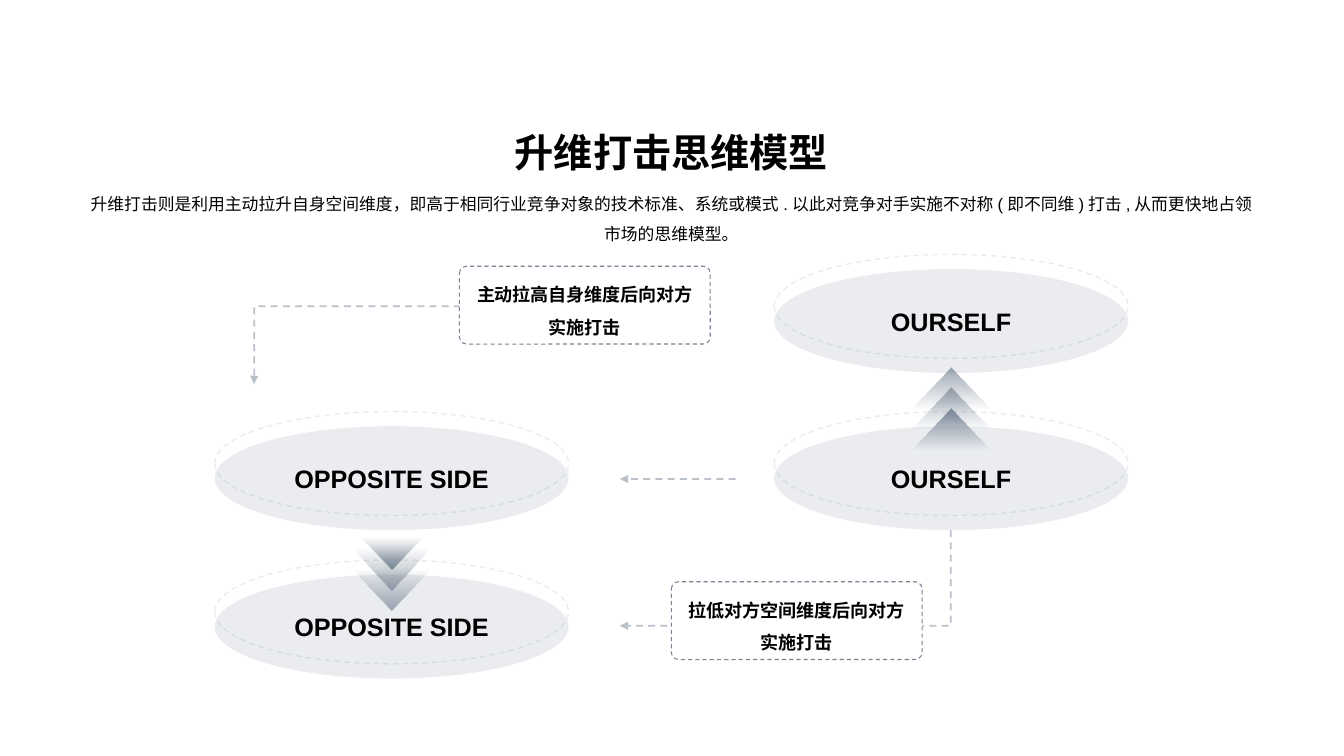
"""Build the slide on the dimension-raising strike model."""
from pptx import Presentation
from pptx.dml.color import RGBColor as Rgb
from pptx.enum.dml import MSO_LINE as Dash
from pptx.enum.shapes import MSO_CONNECTOR as Link, MSO_SHAPE as Form
from pptx.enum.text import MSO_ANCHOR as Anchor, PP_ALIGN as Align
from pptx.oxml.ns import qn
from pptx.util import Cm, Pt
from lxml.etree import SubElement as Sub

TITLE = "升维打击思维模型"
INTRO = ("升维打击则是利用主动拉升自身空间维度，即高于相同行业竞争对象的技术标准、"
         "系统或模式.以此对竞争对手实施不对称(即不同维)打击,从而更快地占领市场的思维模型。")
SIDES = [
    {"name": "OURSELF", "left": 19.51, "tops": (6.78, 10.74),
     "tip": 10.29, "way": -1, "start": 0},
    {"name": "OPPOSITE SIDE", "left": 5.41, "tops": (10.74, 14.48),
     "tip": 13.31, "way": 1, "start": 0.22},
]
LINKS = [
    (Link.STRAIGHT, (18.54, 12.07), (15.62, 12.07), None),
    (Link.ELBOW, (23.96, 13.36), (15.62, 15.77), 0),
    (Link.ELBOW, (15.93, 7.72), (6.4, 9.68), 99900),
]
NOTES = [
    ("主动拉高自身维度后向对方实施打击", 11.58, 6.71),
    ("拉低对方空间维度后向对方实施打击", 16.92, 14.66),
]
THEME = {
    "slate": Rgb(0x77, 0x84, 0x95),
    "white": Rgb(255, 255, 255),
    "title": {"name": "Arial", "size": Pt(28), "bold": True},
    "intro": {"name": "Arial", "size": Pt(12), "bold": False},
    "side": {"name": "Arial", "size": Pt(18), "bold": True},
    "note": {"name": "Arial", "size": Pt(12.9), "bold": True},
    "ink": Rgb(0, 0, 0),
}
DISC, RISE = (8.92, 2.62), 0.37
TIP, STEP = (1.98, 1.04), 0.52
NOTE = (6.32, 1.96)

deck = Presentation()
deck.slide_width, deck.slide_height = Cm(33.87), Cm(19.05)
slide = deck.slides.add_slide(deck.slide_layouts[6])
shapes = slide.shapes


def fade(color, share):
    Sub(color, qn("a:alpha"), val=str(share * 1000))


def colors(shape):
    return list(shape.element.spPr.iter(qn("a:srgbClr")))


def write(shape, text, kind, anchor, space=1.0):
    frame = shape.text_frame
    frame.word_wrap, frame.vertical_anchor = True, anchor
    para = frame.paragraphs[0]
    para.alignment, para.line_spacing = Align.CENTER, space
    run = para.add_run()
    run.text = text
    for key, value in THEME[kind].items():
        setattr(run.font, key, value)
    run.font.color.rgb = THEME["ink"]


def stroke(line, width):
    line.color.rgb = THEME["slate"]
    line.width, line.dash_style = Pt(width), Dash.DASH


def place(form, left, top, size):
    shape = shapes.add_shape(form, Cm(left), Cm(top), *map(Cm, size))
    shape.shadow.inherit = False
    shape.line.fill.background()
    return shape


def disc(name, left, top):
    base = place(Form.OVAL, left, top, DISC)
    base.fill.solid()
    base.fill.fore_color.rgb = THEME["slate"]
    write(base, name, "side", Anchor.MIDDLE)
    ring = place(Form.OVAL, left, top - RISE, DISC)
    ring.fill.background()
    stroke(ring.line, 1)
    for shape in (base, ring):
        fade(colors(shape)[0], 15)


def arrow(left, top, down, start, share):
    tip = place(Form.ISOSCELES_TRIANGLE, left, top, TIP)
    tip.fill.gradient()
    tip.fill.gradient_angle = 90
    for stop, spot in zip(tip.fill.gradient_stops, (start, 1)):
        stop.color.rgb, stop.position = THEME["slate"], spot
    for color, alpha in zip(colors(tip), (0, share)):
        fade(color, alpha)
    if down:
        tip.element.spPr.find(qn("a:xfrm")).set("flipV", "1")


def join(kind, begin, end, bend):
    link = shapes.add_connector(kind, *map(Cm, begin + end))
    stroke(link.line, 1.25)
    fade(colors(link)[0], 50)
    Sub(link.line._get_or_add_ln(), qn("a:tailEnd"), type="triangle")
    props = link.element.spPr
    Sub(props, qn("a:effectLst"))
    if bend is not None:
        guides = props.find(qn("a:prstGeom")).get_or_add_avLst()
        Sub(guides, qn("a:gd"), name="adj1", fmla=f"val {bend}")


for text, kind, top, high, anchor, space in (
        (TITLE, "title", 2.79, 1.75, Anchor.BOTTOM, 1.0),
        (INTRO, "intro", 4.5, 1.7, Anchor.TOP, 1.5)):
    box = shapes.add_textbox(Cm(1.83), Cm(top), Cm(30.18), Cm(high))
    write(box, text, kind, anchor, space)

for side in SIDES:
    for top in side["tops"]:
        disc(side["name"], side["left"], top)
    left = side["left"] + (DISC[0] - TIP[0]) / 2
    for turn in range(3):
        top = side["tip"] + side["way"] * STEP * turn
        start, share = (0, 73) if turn else (side["start"], 100)
        arrow(left, top, side["way"] > 0, start, share)

for link in LINKS:
    join(*link)

for text, left, top in NOTES:
    note = place(Form.ROUNDED_RECTANGLE, left, top, NOTE)
    note.adjustments[0] = 0.09
    note.fill.solid()
    note.fill.fore_color.rgb = THEME["white"]
    stroke(note.line, 0.75)
    write(note, text, "note", Anchor.MIDDLE, 1.5)

deck.save("out.pptx")
